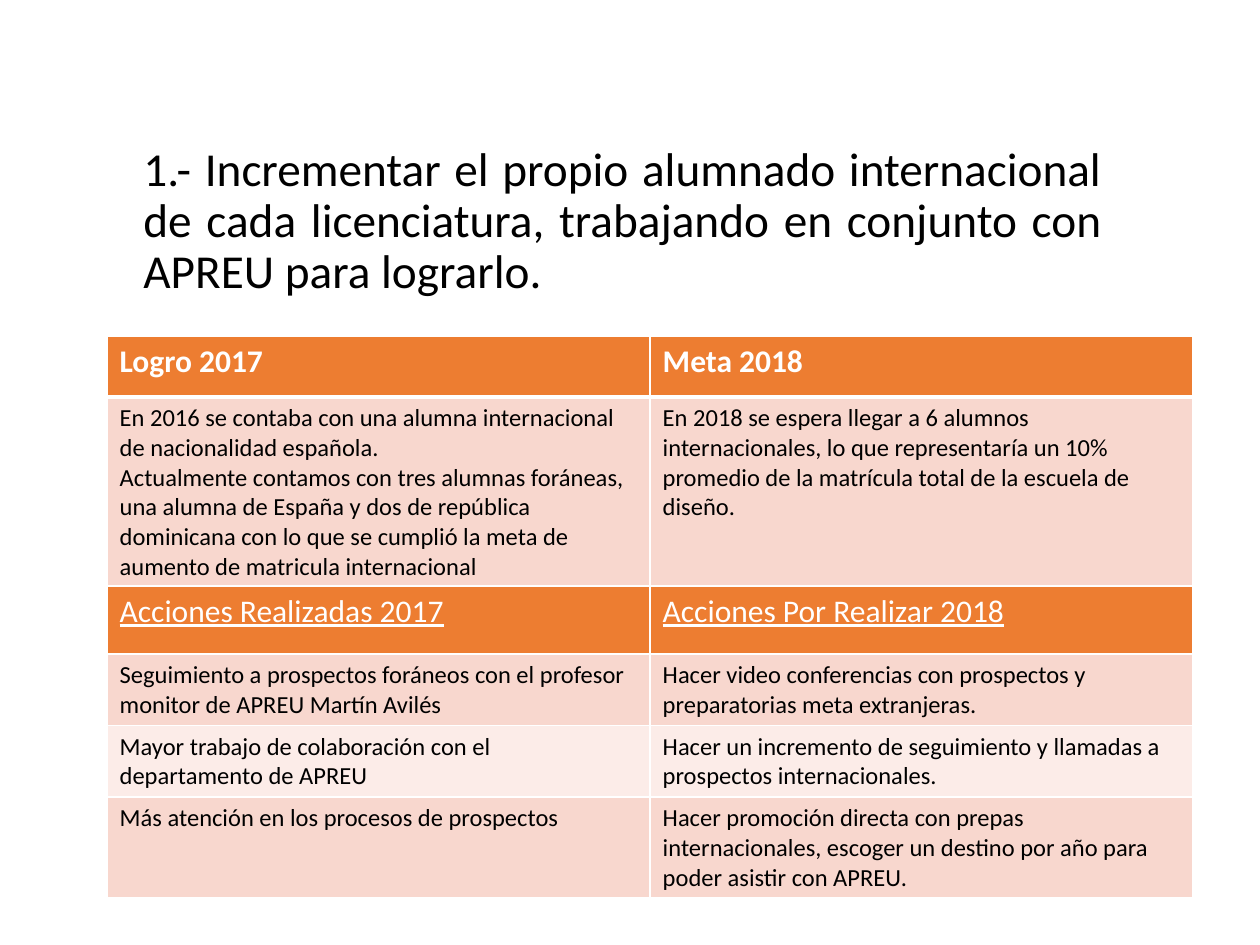
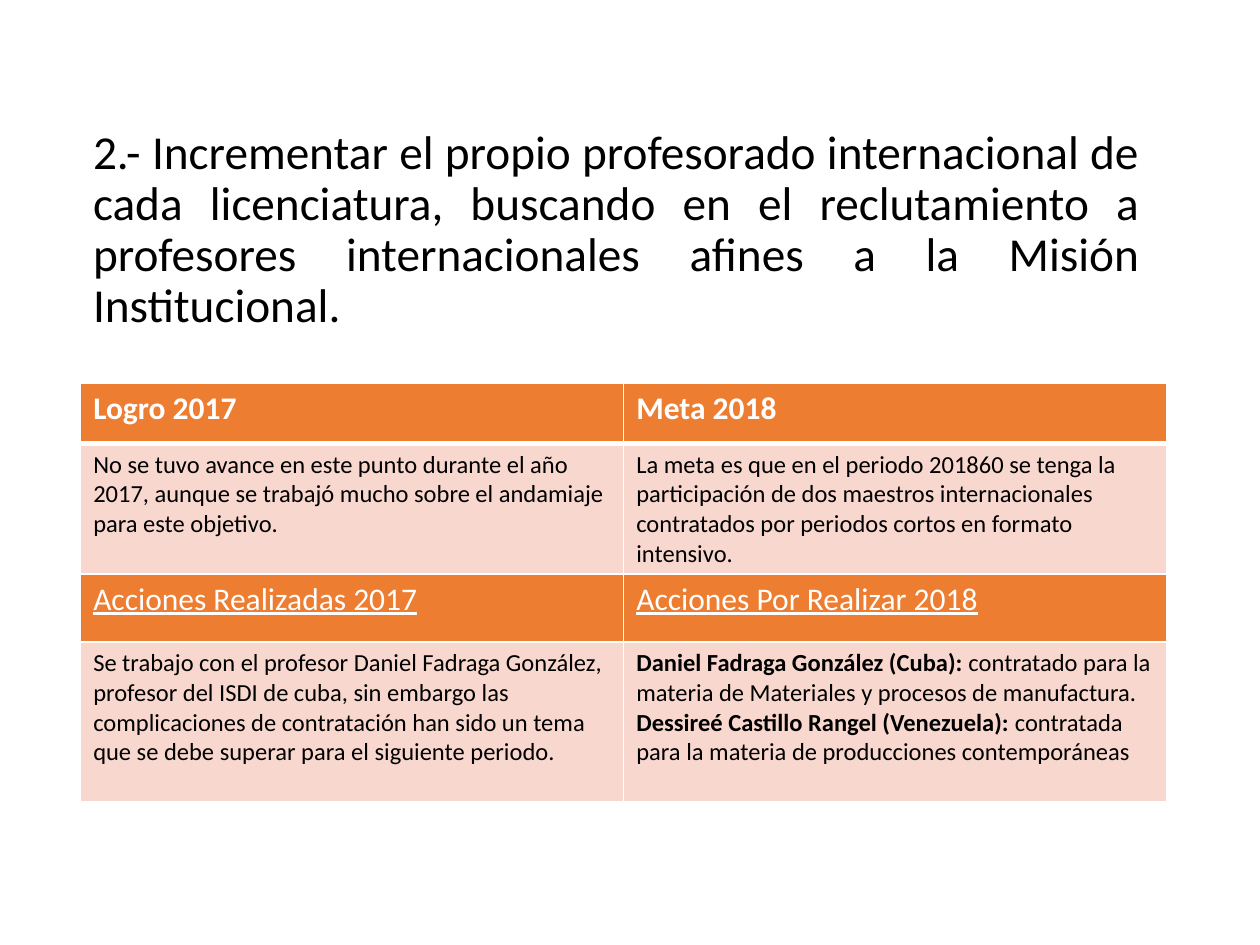
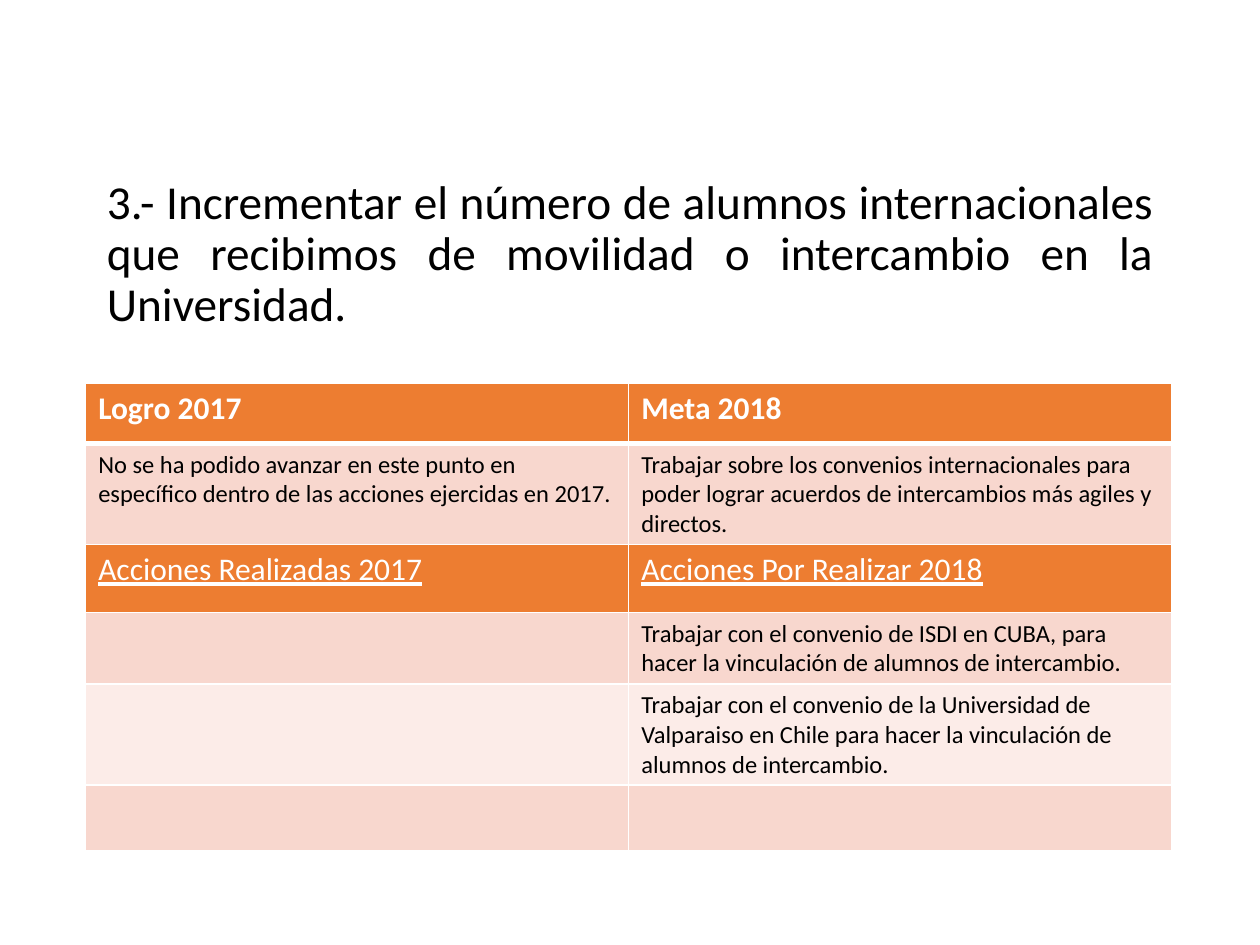
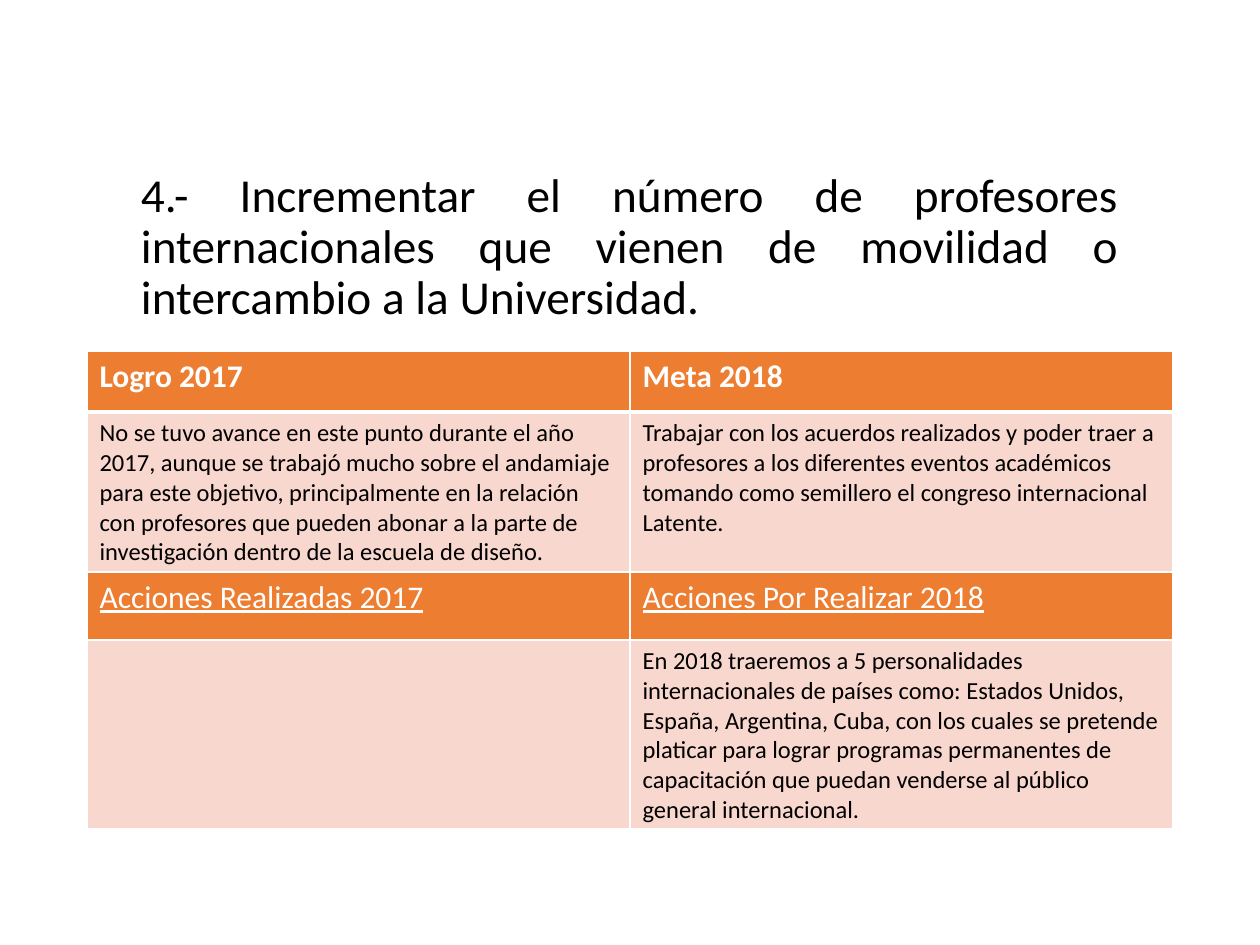
from dataclasses import dataclass

from pptx import Presentation
from pptx.dml.color import RGBColor
from pptx.enum.text import MSO_ANCHOR, PP_ALIGN
from pptx.oxml.ns import qn
from pptx.util import Inches, Pt
from lxml.etree import SubElement


@dataclass(frozen=True)
class Theme:
    font: str = "Calibri"
    black: str = "000000"
    white: str = "FFFFFF"
    orange: str = "ED7D31"
    band_dark: str = "F8D7CE"
    band_light: str = "FCECE8"
    title_size: int = 27
    heading_size: int = 18
    body_size: int = 14
    rule: int = 1
    header_rule: int = 3


THEME = Theme()

# A cell is a list of paragraphs; a paragraph is text or a (bold lead, text) pair.
RESULT_HEADS = [["Logro 2017"], ["Meta 2018"]]
ACTION_HEADS = [["Acciones Realizadas 2017"], ["Acciones Por Realizar 2018"]]

GOALS = [
    {
        "title": "1.- Incrementar el propio alumnado internacional de cada licenciatura, "
                 "trabajando en conjunto con APREU para lograrlo.",
        "title_at": (1.04, 0.81, 7.8),
        "table_at": (0.85, 2.67, 4.45),
        "results": [
            ["En 2016 se contaba con una alumna internacional de nacionalidad española.",
             "Actualmente contamos con tres alumnas foráneas, una alumna de España y dos de "
             "república dominicana con lo que se cumplió la meta de aumento de matricula "
             "internacional"],
            ["En 2018 se espera llegar a 6 alumnos internacionales, lo que representaría un "
             "10% promedio de la matrícula total de la escuela de diseño."],
        ],
        "actions": [
            [["Seguimiento a prospectos foráneos con el profesor monitor de APREU Martín Avilés"],
             ["Hacer video conferencias con prospectos y preparatorias meta extranjeras."]],
            [["Mayor trabajo de colaboración con el departamento de APREU"],
             ["Hacer un incremento de seguimiento y llamadas a prospectos internacionales."]],
            [["Más atención en los procesos de prospectos"],
             ["Hacer promoción directa con prepas internacionales, escoger un destino por año "
              "para poder asistir con APREU."]],
        ],
    },
    {
        "title": "2.- Incrementar el propio profesorado internacional de cada licenciatura, "
                 "buscando en el reclutamiento a profesores internacionales afines a la Misión "
                 "Institucional.",
        "title_at": (0.64, 1.08, 8.5),
        "table_at": (0.64, 3.04, 3.32),
        "action_height": 1.27,
        "results": [
            ["No se tuvo avance en este punto durante el año 2017, aunque se trabajó mucho "
             "sobre el andamiaje para este objetivo."],
            ["La meta es que en el periodo 201860 se tenga la participación de dos maestros "
             "internacionales contratados por periodos cortos en formato intensivo."],
        ],
        "actions": [
            [["Se trabajo con el profesor Daniel Fadraga González, profesor del ISDI de cuba, "
              "sin embargo las complicaciones de contratación han sido un tema que se debe "
              "superar para el siguiente periodo."],
             [("Daniel Fadraga González (Cuba):",
               " contratado para la materia de Materiales y procesos de manufactura."),
              ("Dessireé Castillo Rangel (Venezuela): ",
               "contratada para la materia de producciones contemporáneas")]],
        ],
    },
    {
        "title": "3.- Incrementar el número de alumnos internacionales que recibimos de "
                 "movilidad o intercambio en la Universidad.",
        "title_at": (0.75, 1.07, 8.5),
        "table_at": (0.68, 3.04, 3.7),
        "results": [
            ["No se ha podido avanzar en este punto en específico dentro de las acciones "
             "ejercidas en 2017."],
            ["Trabajar sobre los convenios internacionales para poder lograr acuerdos de "
             "intercambios más agiles y directos."],
        ],
        "actions": [
            [[], ["Trabajar con el convenio de ISDI en CUBA, para hacer la vinculación de "
                  "alumnos de intercambio."]],
            [[], ["Trabajar con el convenio de la Universidad de Valparaiso en Chile para hacer "
                  "la vinculación de alumnos de intercambio."]],
            [[], []],
        ],
    },
    {
        "title": "4.- Incrementar el número de profesores internacionales que vienen de "
                 "movilidad o intercambio a la Universidad.",
        "title_at": (1.02, 1.02, 7.95),
        "table_at": (0.69, 2.79, 3.78),
        "results": [
            ["No se tuvo avance en este punto durante el año 2017, aunque se trabajó mucho "
             "sobre el andamiaje para este objetivo, principalmente en la relación con "
             "profesores que pueden abonar a la parte de investigación dentro de la escuela "
             "de diseño."],
            ["Trabajar con los acuerdos realizados y poder traer a profesores a los diferentes "
             "eventos académicos tomando como semillero el congreso internacional Latente."],
        ],
        "actions": [
            [[], ["En 2018 traeremos a 5 personalidades internacionales de países como: Estados "
                  "Unidos, España, Argentina, Cuba, con los cuales se pretende platicar para "
                  "lograr programas permanentes de capacitación que puedan venderse al público "
                  "general internacional."]],
        ],
    },
]

TITLE_HEIGHT = 1.61
COLUMN_WIDTH = 4.31
RESULT_HEAD_HEIGHT, BODY_HEIGHT, ACTION_HEAD_HEIGHT = 0.48, 0.52, 0.54

BODY = {"size": Pt(THEME.body_size), "bold": False, "underline": False}
RESULT_HEAD = {"size": Pt(THEME.heading_size), "bold": True, "underline": False}
ACTION_HEAD = {"size": Pt(THEME.heading_size), "bold": False, "underline": True}


def add_span(para, text, color, **formats):
    span = para.add_run()
    span.text = text
    span.font.name = THEME.font
    span.font.color.rgb = RGBColor.from_string(color)
    for name, value in formats.items():
        setattr(span.font, name, value)


def add_title(page, text, left, top, width):
    box = page.shapes.add_textbox(Inches(left), Inches(top), Inches(width), Inches(TITLE_HEIGHT))
    frame = box.text_frame
    frame.word_wrap = True
    frame.vertical_anchor = MSO_ANCHOR.BOTTOM
    para = frame.paragraphs[0]
    para.alignment = PP_ALIGN.JUSTIFY
    para.line_spacing = 0.9
    add_span(para, text, THEME.black, size=Pt(THEME.title_size))


def set_borders(cell, top, bottom):
    """Draw white cell borders; top and bottom widths are in points."""
    properties = cell._tc.get_or_add_tcPr()
    widths = {"lnL": THEME.rule, "lnR": THEME.rule, "lnT": top, "lnB": bottom}
    for side, width in widths.items():
        line = SubElement(properties, qn(f"a:{side}"), w=str(Pt(width)))
        fill = SubElement(line, qn("a:solidFill"))
        SubElement(fill, qn("a:srgbClr"), val=THEME.white)


def fill_cell(cell, paragraphs, fill, color, formats):
    cell.fill.solid()
    cell.fill.fore_color.rgb = RGBColor.from_string(fill)
    frame = cell.text_frame
    for index, content in enumerate(paragraphs):
        para = frame.add_paragraph() if index else frame.paragraphs[0]
        lead, text = content if isinstance(content, tuple) else ("", content)
        if lead:
            add_span(para, lead, color, **{**formats, "bold": True})
        add_span(para, text, color, **formats)


def add_goal_table(page, goal):
    left, top, height = goal["table_at"]
    action_height = goal.get("action_height", BODY_HEIGHT)
    rows = [
        (RESULT_HEADS, RESULT_HEAD_HEIGHT, RESULT_HEAD),
        (goal["results"], BODY_HEIGHT, BODY),
        (ACTION_HEADS, ACTION_HEAD_HEIGHT, ACTION_HEAD),
        *((action, action_height, BODY) for action in goal["actions"]),
    ]
    columns = len(RESULT_HEADS)
    holder = page.shapes.add_table(len(rows), columns, Inches(left), Inches(top),
                                   Inches(columns * COLUMN_WIDTH), Inches(height))
    table = holder.table
    table.first_row = table.horz_banding = False
    for column in table.columns:
        column.width = Inches(COLUMN_WIDTH)
    for index, (cells, row_height, formats) in enumerate(rows):
        table.rows[index].height = Inches(row_height)
        if formats is BODY:
            fill = THEME.band_dark if index % 2 else THEME.band_light
            color = THEME.black
        else:
            fill, color = THEME.orange, THEME.white
        above = THEME.header_rule if index == 1 else THEME.rule
        below = THEME.header_rule if index == 0 else THEME.rule
        for cell, paragraphs in zip(table.rows[index].cells, cells):
            set_borders(cell, above, below)
            fill_cell(cell, paragraphs, fill, color, formats)
    holder.height = Inches(height)


def main():
    deck = Presentation()
    deck.slide_width, deck.slide_height = Inches(10), Inches(7.5)
    blank = deck.slide_layouts[6]
    for goal in GOALS:
        page = deck.slides.add_slide(blank)
        add_title(page, goal["title"], *goal["title_at"])
        add_goal_table(page, goal)
    deck.save("out.pptx")


if __name__ == "__main__":
    main()
